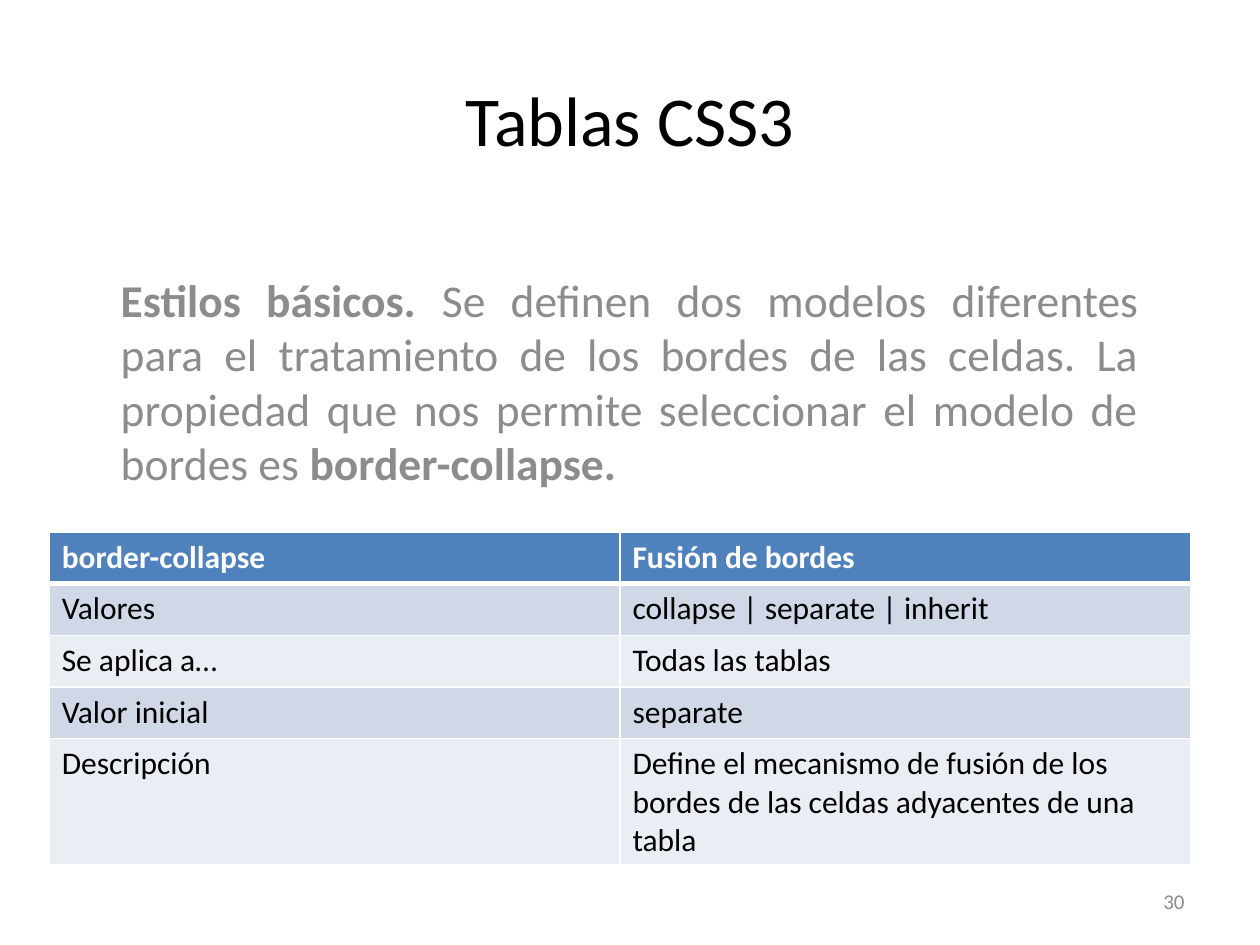
from dataclasses import dataclass

from lxml import etree
from pptx import Presentation
from pptx.dml.color import RGBColor
from pptx.enum.text import MSO_ANCHOR, PP_ALIGN
from pptx.oxml.ns import qn
from pptx.util import Inches, Pt

TOP, MIDDLE = MSO_ANCHOR.TOP, MSO_ANCHOR.MIDDLE
LEFT, CENTER = PP_ALIGN.LEFT, PP_ALIGN.CENTER
RIGHT, JUSTIFY = PP_ALIGN.RIGHT, PP_ALIGN.JUSTIFY
BLANK = 6
WIDE, HIGH = 10, 7.5


@dataclass(frozen=True)
class Theme:
    font: str = "Calibri"
    ink: str = "000000"
    gray: str = "8C8C8C"
    white: str = "FFFFFF"
    head: str = "4F81BD"
    bands: tuple = ("D0D8E8", "E9EDF4")
    title: int = 40
    body: int = 26
    cell: int = 18
    number: int = 12
    thin: int = 1
    thick: int = 3


THEME = Theme()

INTRO = (
    ("Estilos básicos. ", True),
    ("Se definen dos modelos diferentes para el tratamiento de los bordes "
     "de las celdas. La propiedad que nos permite seleccionar el modelo de "
     "bordes es ", False),
    ("border-collapse.", True),
)
ROWS = (
    ("border-collapse", "Fusión de bordes"),
    ("Valores", "collapse | separate | inherit"),
    ("Se aplica a…", "Todas las tablas"),
    ("Valor inicial", "separate"),
    ("Descripción", "Define el mecanismo de fusión de los bordes de las "
                    "celdas adyacentes de una tabla"),
)


def write(para, runs, size, color, align=LEFT):
    """Fill a paragraph with (text, bold) runs of one size and colour."""
    para.alignment = align
    for text, bold in runs:
        run = para.add_run()
        run.text = text
        font = run.font
        font.name, font.size, font.bold = THEME.font, Pt(size), bold
        font.color.rgb = RGBColor.from_string(color)


def add_text(slide, box, runs, size, color, align, anchor=MIDDLE):
    frame = slide.shapes.add_textbox(*map(Inches, box)).text_frame
    frame.word_wrap = True
    frame.vertical_anchor = anchor
    write(frame.paragraphs[0], runs, size, color, align)


def add_edges(cell, widths):
    """Draw white borders; widths maps each side (L, R, T, B) to points."""
    props = cell._tc.get_or_add_tcPr()
    for side, width in widths.items():
        line = etree.SubElement(props, qn(f"a:ln{side}"), w=str(Pt(width)))
        fill = etree.SubElement(line, qn("a:solidFill"))
        etree.SubElement(fill, qn("a:srgbClr"), val=THEME.white)


def add_grid(slide, box, rows, step):
    """Place a two-band table; the last row takes the height left over."""
    left, top, width, height = box
    count = len(rows)
    table = slide.shapes.add_table(
        count, len(rows[0]), *map(Inches, box)).table
    for i, texts in enumerate(rows):
        last = i == count - 1
        table.rows[i].height = Inches(height - step * i if last else step)
        head = i == 0
        fill = THEME.head if head else THEME.bands[(i - 1) % 2]
        edges = dict.fromkeys("LRTB", THEME.thin)
        if head:
            edges["B"] = THEME.thick
        elif i == 1:
            edges["T"] = THEME.thick
        for j, text in enumerate(texts):
            cell = table.cell(i, j)
            add_edges(cell, edges)
            cell.fill.solid()
            cell.fill.fore_color.rgb = RGBColor.from_string(fill)
            write(cell.text_frame.paragraphs[0], [(text, head)],
                  THEME.cell, THEME.white if head else THEME.ink)


def main():
    deck = Presentation()
    deck.slide_width, deck.slide_height = Inches(WIDE), Inches(HIGH)
    slide = deck.slides.add_slide(deck.slide_layouts[BLANK])
    add_text(slide, (0.075 * WIDE, 0, 0.85 * WIDE, 0.25 * HIGH),
             [("Tablas CSS3", False)], THEME.title, THEME.ink, CENTER)
    add_text(slide, (0.086 * WIDE, 0.281 * HIGH, 0.828 * WIDE, 0.27 * HIGH),
             INTRO, THEME.body, THEME.gray, JUSTIFY, TOP)
    add_text(slide, (0.717 * WIDE, 0.927 * HIGH, 0.233 * WIDE, 0.053 * HIGH),
             [("30", False)], THEME.number, THEME.gray, RIGHT)
    add_grid(slide, (0.039 * WIDE, 0.563 * HIGH, 0.906 * WIDE, 0.35 * HIGH),
             ROWS, 0.41)
    deck.save("out.pptx")


if __name__ == "__main__":
    main()
